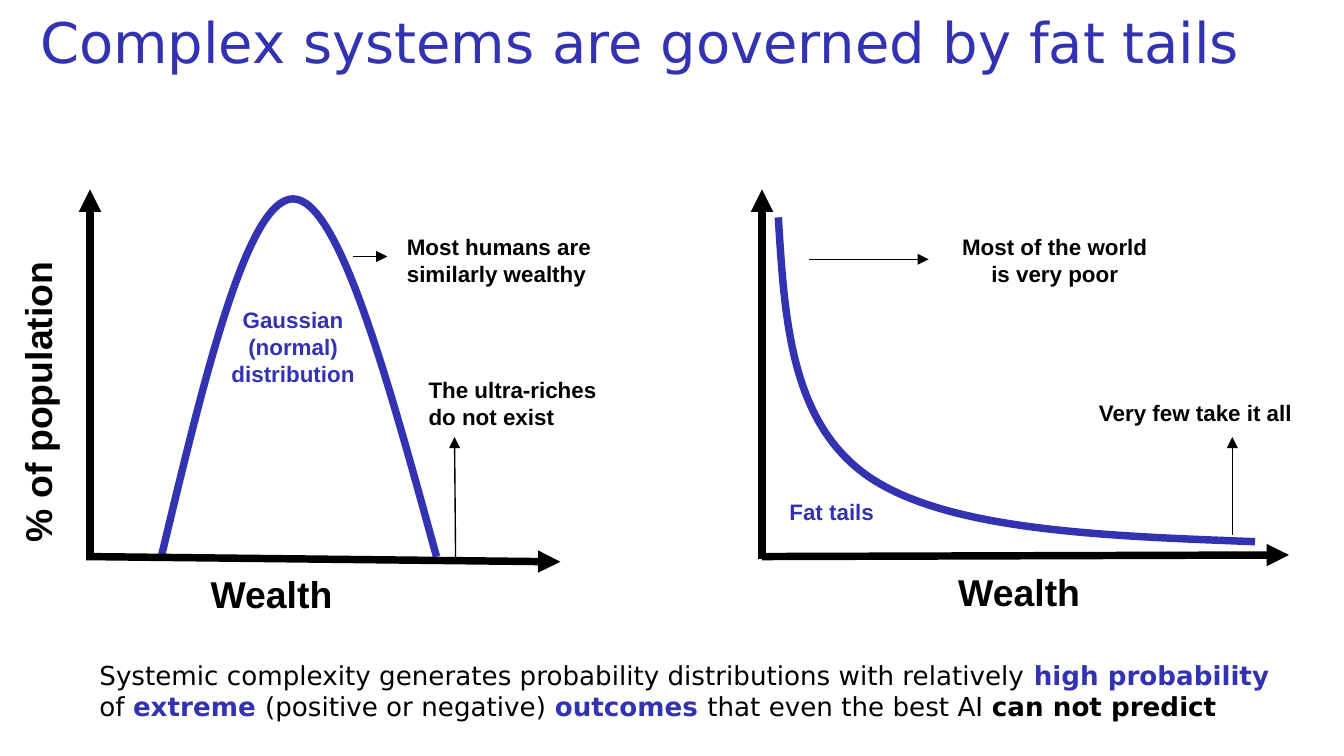
from lxml.etree import SubElement as Sub
from pptx import Presentation as Deck
from pptx.dml.color import RGBColor as Rgb
from pptx.enum.shapes import MSO_CONNECTOR as Link
from pptx.enum.text import MSO_ANCHOR as Anchor, PP_ALIGN as Align
from pptx.oxml.ns import qn
from pptx.util import Cm, Pt

HUES = {"ink": "000000", "blue": "3333B2"}


class Pen:
    """Hold the style and the slide, and draw each kind of element."""

    def __init__(self, slide):
        self.shapes = slide.shapes
        self.sans = "Arial"
        self.wide = "DejaVu Sans"

    def style(self, run, size, hue, bold, face):
        font = run.font
        font.size, font.bold, font.name = Pt(size), bold, face
        font.color.rgb = Rgb.from_string(HUES[hue])

    def frame(self, spot):
        box = self.shapes.add_textbox(*map(Cm, spot))
        box.text_frame.word_wrap = True
        return box

    def text(self, words, spot, size=12, hue="ink", bold=True, face=None, align=Align.LEFT):
        box = self.frame(spot)
        box.text_frame.text = words
        for para in box.text_frame.paragraphs:
            para.alignment = align
            for run in para.runs:
                self.style(run, size, hue, bold, face or self.sans)
        return box

    def title(self, words, spot):
        box = self.text(words, spot, 30, "blue", False, self.wide)
        box.text_frame.vertical_anchor = Anchor.MIDDLE
        box.text_frame.margin_left = Cm(0.76)

    def mixed(self, parts, spot, size):
        para = self.frame(spot).text_frame.paragraphs[0]
        for words, hue, bold in parts:
            run = para.add_run()
            run.text = words
            self.style(run, size, hue, bold, self.wide)

    def arrow(self, start, end, width=0.75):
        line = self.shapes.add_connector(Link.STRAIGHT, *map(Cm, start + end))
        line.line.width = Pt(width)
        line.line.color.rgb = Rgb.from_string(HUES["ink"])
        props = line.element.spPr
        Sub(props.find(qn("a:ln")), qn("a:tailEnd"), type="triangle")
        Sub(props, qn("a:effectLst"))

    def curve(self, points):
        """Draw cubic pieces: a start, then three points for each piece."""
        spots = [(Cm(x), Cm(y)) for x, y in points]
        maker = self.shapes.build_freeform(*spots[0])
        maker.add_line_segments(spots[1:], close=False)
        shape = maker.convert_to_shape()
        shape.shadow.inherit = False
        shape.fill.background()
        shape.line.width = Pt(4)
        shape.line.color.rgb = Rgb.from_string(HUES["blue"])
        steps = list(shape.element.iter(qn("a:lnTo")))
        for i in range(0, len(steps), 3):
            bend = Sub(steps[i].getparent(), qn("a:cubicBezTo"))
            for step in steps[i:i + 3]:
                bend.append(step[0])
                step.getparent().remove(step)


def main():
    deck = Deck()
    deck.slide_width, deck.slide_height = Cm(25.4), Cm(14.29)
    pen = Pen(deck.slides.add_slide(deck.slide_layouts[6]))

    pen.title("Complex systems are governed by fat tails", (0, 0, 24.77, 1.57))

    pen.curve([(3.05, 10.52), (3.86, 7.14), (4.67, 3.76), (5.54, 3.76),
               (6.4, 3.76), (7.32, 7.14), (8.25, 10.52)])
    pen.curve([(14.71, 4.11), (14.83, 6.05), (14.94, 8), (16.43, 9.02),
               (17.93, 10.03), (20.83, 10.13), (23.72, 10.24)])

    axes = [((1.63, 10.52), (10.59, 10.62)), ((1.7, 10.52), (1.7, 3.58)),
            ((14.4, 10.57), (14.4, 3.58)), ((14.4, 10.52), (24.36, 10.49))]
    for start, end in axes:
        pen.arrow(start, end, 4)

    hints = [((6.68, 4.85), (7.32, 4.85)), ((8.61, 10.57), (8.59, 8.26)),
             ((15.29, 4.9), (17.55, 4.9)), ((23.29, 10.11), (23.29, 8.26))]
    for start, end in hints:
        pen.arrow(start, end)

    for left, top in [(3.73, 10.67), (17.86, 10.64)]:
        pen.text("Wealth", (left, top, 4.17, 1.12), 20)
    pen.text("% of population", (-2.31, 6.91, 6.05, 1.12), 20).rotation = 270

    pen.text("Most humans are\nsimilarly wealthy", (7.44, 4.29, 4.42, 1.27))
    pen.text("The ultra-riches do not exist", (7.85, 6.99, 4.06, 1.27))
    pen.text("Most of the world\nis very poor", (17.6, 4.29, 4.67, 1.27), align=Align.CENTER)
    pen.text("Very few take it all", (20.52, 7.42, 4.27, 0.76))

    pen.mixed([
        ("Systemic complexity generates probability distributions with relatively ", "ink", False),
        ("high probability ", "blue", True),
        ("of ", "ink", False),
        ("extreme ", "blue", True),
        ("(positive or negative) ", "ink", False),
        ("outcomes ", "blue", True),
        ("that even the best AI ", "ink", False),
        ("can not predict", "ink", True),
    ], (1.63, 12.34, 23.06, 1.45), 14)

    pen.text("Gaussian\n(normal)\ndistribution", (2.95, 5.66, 5.18, 1.8),
             hue="blue", align=Align.CENTER)
    pen.text("Fat tails", (13.13, 9.3, 5.18, 0.76), hue="blue", align=Align.CENTER)

    deck.save("out.pptx")


if __name__ == "__main__":
    main()
